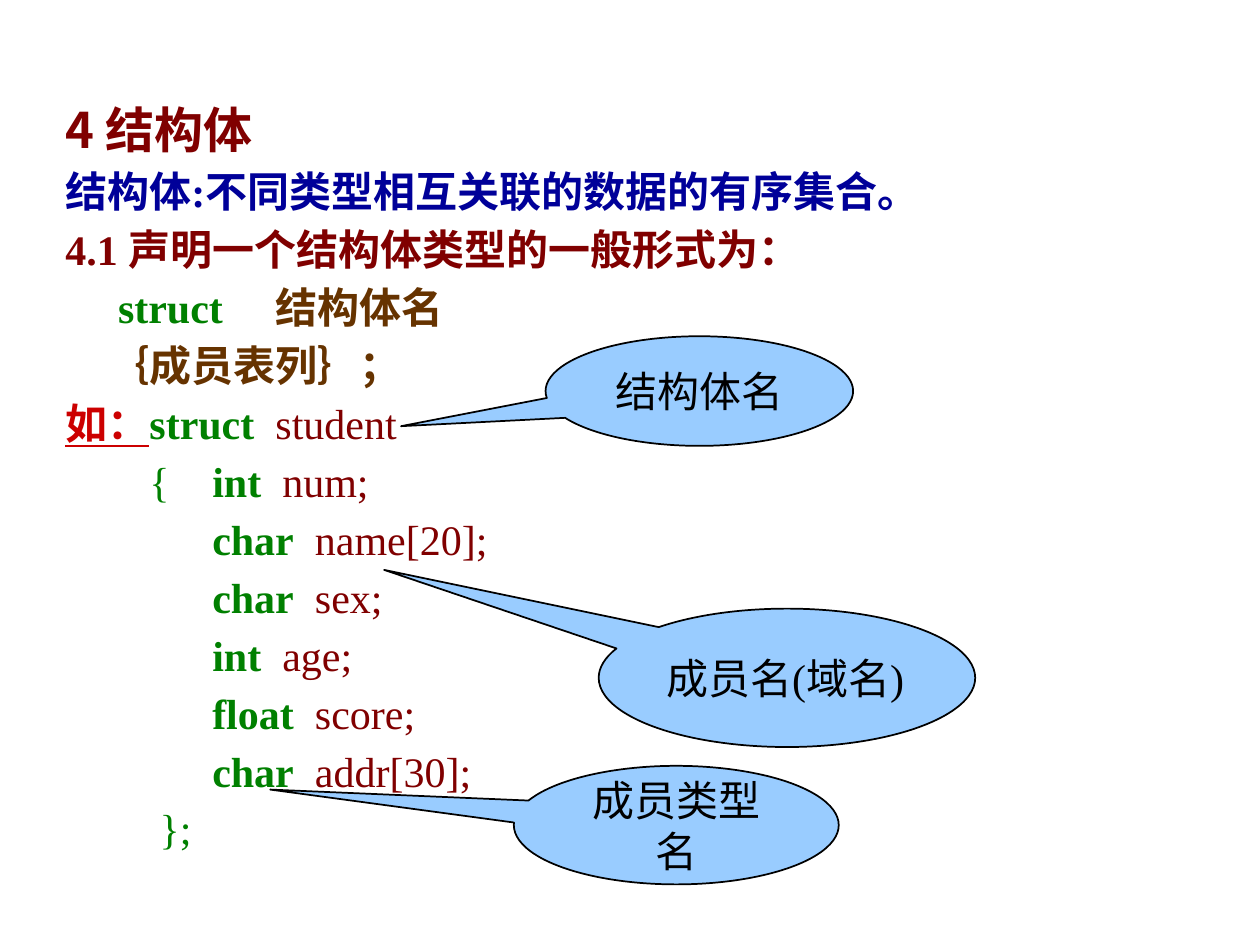
from dataclasses import dataclass

from lxml import etree
from pptx import Presentation
from pptx.dml.color import RGBColor
from pptx.enum.shapes import MSO_SHAPE
from pptx.enum.text import MSO_ANCHOR, PP_ALIGN
from pptx.oxml.ns import qn
from pptx.util import Cm, Pt

CALLOUT = MSO_SHAPE.OVAL_CALLOUT
MIDDLE = MSO_ANCHOR.MIDDLE
LEFT, CENTER = PP_ALIGN.LEFT, PP_ALIGN.CENTER

SERIF = "Times New Roman"
SANS = "Noto Sans CJK SC"
COLORS = {
    "maroon": "800000",
    "navy": "000099",
    "brown": "663300",
    "green": "008000",
    "red": "CC0000",
    "black": "000000",
    "sky": "99CCFF",
}
BODY_INDENT = 2.96


def span(text, color="maroon", size=24, font=SERIF, bold=False, underline=False, spacing=0):
    return dict(text=text, color=color, size=size, font=font, bold=bold,
                underline=underline, spacing=spacing)


def declaration(keyword, name):
    return [span(keyword, "green", bold=True),
            span(" ", "green", bold=True, spacing=6),
            span(name)]


@dataclass
class SlideBuilder:
    """Draws styled text and callouts on the current slide."""

    slide: object
    line_spacing: float = 1.15

    def color(self, name):
        return RGBColor.from_string(COLORS[name])

    def add_spans(self, para, spans):
        for item in spans:
            run = para.add_run()
            run.text = item["text"]
            run.font.name = item["font"]
            run.font.size = Pt(item["size"])
            run.font.bold = item["bold"]
            run.font.underline = item["underline"]
            run.font.color.rgb = self.color(item["color"])
            properties = run._r.get_or_add_rPr()
            etree.SubElement(properties, qn("a:ea")).set("typeface", SANS)
            if item["spacing"]:
                properties.set("spc", str(item["spacing"] * 100))

    def text(self, left, top, width, height, lines):
        box = self.slide.shapes.add_textbox(Cm(left), Cm(top), Cm(width), Cm(height))
        frame = box.text_frame
        frame.word_wrap = True
        for index, (margin, hanging, spans) in enumerate(lines):
            para = frame.add_paragraph() if index else frame.paragraphs[0]
            para.line_spacing = self.line_spacing
            properties = para._p.get_or_add_pPr()
            properties.set("marL", str(int(Cm(margin))))
            properties.set("indent", str(-int(Cm(hanging))))
            self.add_spans(para, spans)

    def callout(self, left, top, width, height, tip, label, align=CENTER):
        shape = self.slide.shapes.add_shape(CALLOUT, Cm(left), Cm(top), Cm(width), Cm(height))
        shape.adjustments[0], shape.adjustments[1] = tip
        shape.shadow.inherit = False
        shape.fill.solid()
        shape.fill.fore_color.rgb = self.color("sky")
        shape.line.color.rgb = self.color("black")
        shape.line.width = Pt(1)
        frame = shape.text_frame
        frame.word_wrap = True
        frame.vertical_anchor = MIDDLE
        para = frame.paragraphs[0]
        para.alignment = align
        self.add_spans(para, [span(label, "black")])


def main():
    deck = Presentation()
    deck.slide_width, deck.slide_height = Cm(25.4), Cm(19.05)
    page = SlideBuilder(deck.slides.add_slide(deck.slide_layouts[6]))

    lines = [
        (0, 0, [span("4 结构体", size=28, font=SANS, bold=True)]),
        (0, 0, [span("结构体:不同类型相互关联的数据的有序集合。", "navy", bold=True)]),
        (0, 0, [span("4.1 声明一个结构体类型的一般形式为：", bold=True)]),
        (4.23, 3.17, [span("struct\t", "green", bold=True),
                      span("结构体名", "brown", bold=True)]),
        (0.85, 0, [span("｛成员表列｝；", "brown", bold=True)]),
        (0, 0, [span("如：", "red", bold=True, underline=True),
                *declaration("struct", "student")]),
        (BODY_INDENT, 1.27, [span("{\t", "green"), *declaration("int", "num;")]),
    ]
    members = [("char", "name[20];"), ("char", "sex;"), ("int", "age;"),
               ("float", "score;"), ("char", "addr[30];")]
    lines += [(BODY_INDENT, 0, declaration(*member)) for member in members]
    lines.append((1.9, 0, [span("};", "green")]))
    page.text(1.07, 1.7, 22, 16.08, lines)

    page.callout(11, 6.78, 6.2, 2.21, (-0.97, 0.32), "结构体名")
    page.callout(10.36, 15.44, 6.55, 2.39, (-1.25, -0.3), "成员类型名")
    page.callout(12.07, 12.27, 7.59, 2.79, (-1.07, -0.78), "成员名(域名)", LEFT)

    deck.save("out.pptx")


if __name__ == "__main__":
    main()
